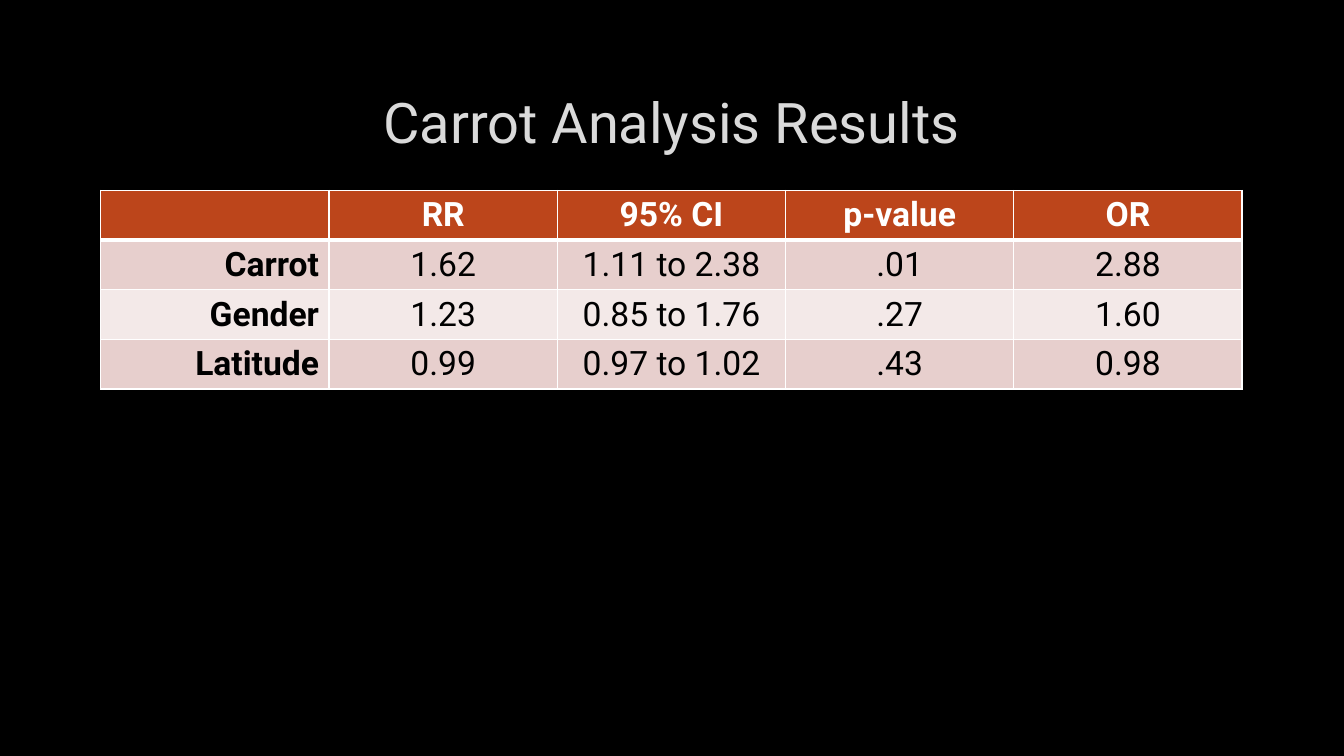
from typing import NamedTuple

import pptx
import pptx.dml.color
import pptx.enum.text
import pptx.oxml
import pptx.oxml.ns
import pptx.util

ALIGN = pptx.enum.text.PP_ALIGN
MIDDLE = pptx.enum.text.MSO_ANCHOR.MIDDLE
FONT = "Roboto"
COLORS = {
    "background": "000000",
    "title": "DADADA",
    "outline": "404040",
    "header": "BC451B",
    "odd": "E7CFCD",
    "even": "F3E9E8",
    "light": "FFFFFF",
    "dark": "000000",
}
SLIDE_W, SLIDE_H = 13.33, 7.5
LEFT, WIDTH = 1, 11.32
TITLE_TOP, TITLE_H = 0.67, 1.06
TABLE_TOP, ROW_H = 1.89, 0.49


class Result(NamedTuple):
    name: str
    rr: str
    ci: str
    p_value: str
    odds_ratio: str


RESULTS = [
    Result("", "RR", "95% CI", "p-value", "OR"),
    Result("Carrot", "1.62", "1.11 to 2.38", ".01", "2.88"),
    Result("Gender", "1.23", "0.85 to 1.76", ".27", "1.60"),
    Result("Latitude", "0.99", "0.97 to 1.02", ".43", "0.98"),
]


def rgb(name: str) -> pptx.dml.color.RGBColor:
    return pptx.dml.color.RGBColor.from_string(COLORS[name])


def format_paragraph(p, size: int, color: str, align, bold: bool = False) -> None:
    p.alignment = align
    p.font.name = FONT
    p.font.size = pptx.util.Pt(size)
    p.font.bold = bold
    p.font.color.rgb = rgb(color)


def line_xml(tag: str, points: float, color: str, alpha: int = 100):
    return pptx.oxml.parse_xml(
        f'<a:{tag} {pptx.oxml.ns.nsdecls("a")} w="{pptx.util.Pt(points)}">'
        f'<a:solidFill><a:srgbClr val="{COLORS[color]}">'
        f'<a:alpha val="{alpha * 1000}"/></a:srgbClr></a:solidFill></a:{tag}>'
    )


def add_title(slide, text: str) -> None:
    sp = slide.shapes.title
    sp.left, sp.top, sp.width, sp.height = map(
        pptx.util.Inches, (LEFT, TITLE_TOP, WIDTH, TITLE_H))
    tf = sp.text_frame
    tf.text = text
    tf.word_wrap = True
    tf.vertical_anchor = MIDDLE
    p = tf.paragraphs[0]
    format_paragraph(p, 40, "title", ALIGN.CENTER)
    p.runs[0].font._element.insert(0, line_xml("ln", 0.75, "outline", 10))


def format_cell(cell, text: str, row: int, col: int) -> None:
    is_header = row == 0
    cell.text = text
    format_paragraph(
        cell.text_frame.paragraphs[0], 24,
        "light" if is_header else "dark",
        ALIGN.RIGHT if col == 0 and not is_header else ALIGN.CENTER,
        bold=is_header or col == 0)
    cell.fill.solid()
    cell.fill.fore_color.rgb = rgb(
        "header" if is_header else "odd" if row % 2 else "even")
    widths = {"lnL": 1, "lnR": 1, "lnT": 3 if row == 1 else 1,
              "lnB": 3 if is_header else 1}
    for i, (tag, points) in enumerate(widths.items()):
        cell._tc.get_or_add_tcPr().insert(i, line_xml(tag, points, "light"))


def add_results_table(slide, results: list[Result]) -> None:
    frame = slide.shapes.add_table(
        len(results), len(Result._fields),
        *map(pptx.util.Inches, (LEFT, TABLE_TOP, WIDTH, ROW_H * len(results))))
    for row, result in enumerate(results):
        for col, text in enumerate(result):
            format_cell(frame.table.cell(row, col), text, row, col)


def main() -> None:
    prs = pptx.Presentation()
    prs.slide_width = pptx.util.Inches(SLIDE_W)
    prs.slide_height = pptx.util.Inches(SLIDE_H)
    slide = prs.slides.add_slide(prs.slide_layouts.get_by_name("Title Only"))
    slide.background.fill.solid()
    slide.background.fill.fore_color.rgb = rgb("background")
    add_title(slide, "Carrot Analysis Results")
    add_results_table(slide, RESULTS)
    prs.save("out.pptx")


if __name__ == "__main__":
    main()
